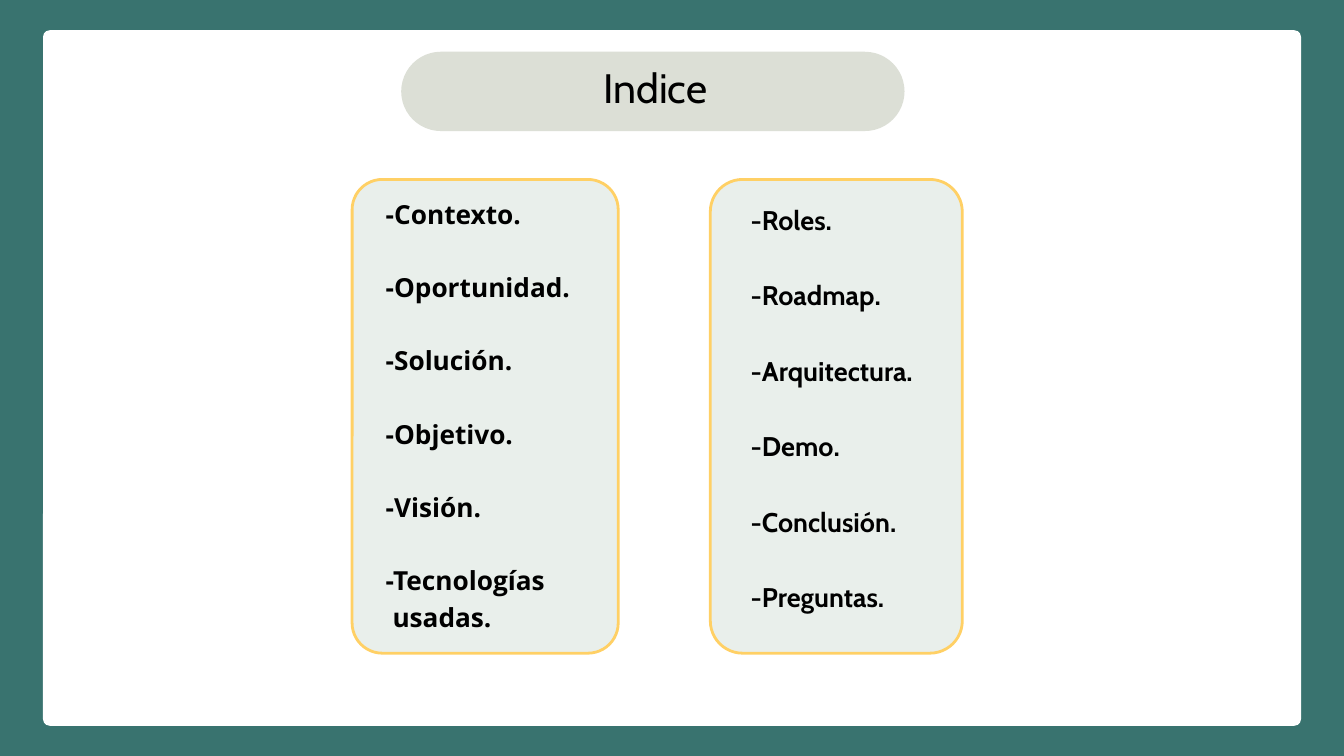
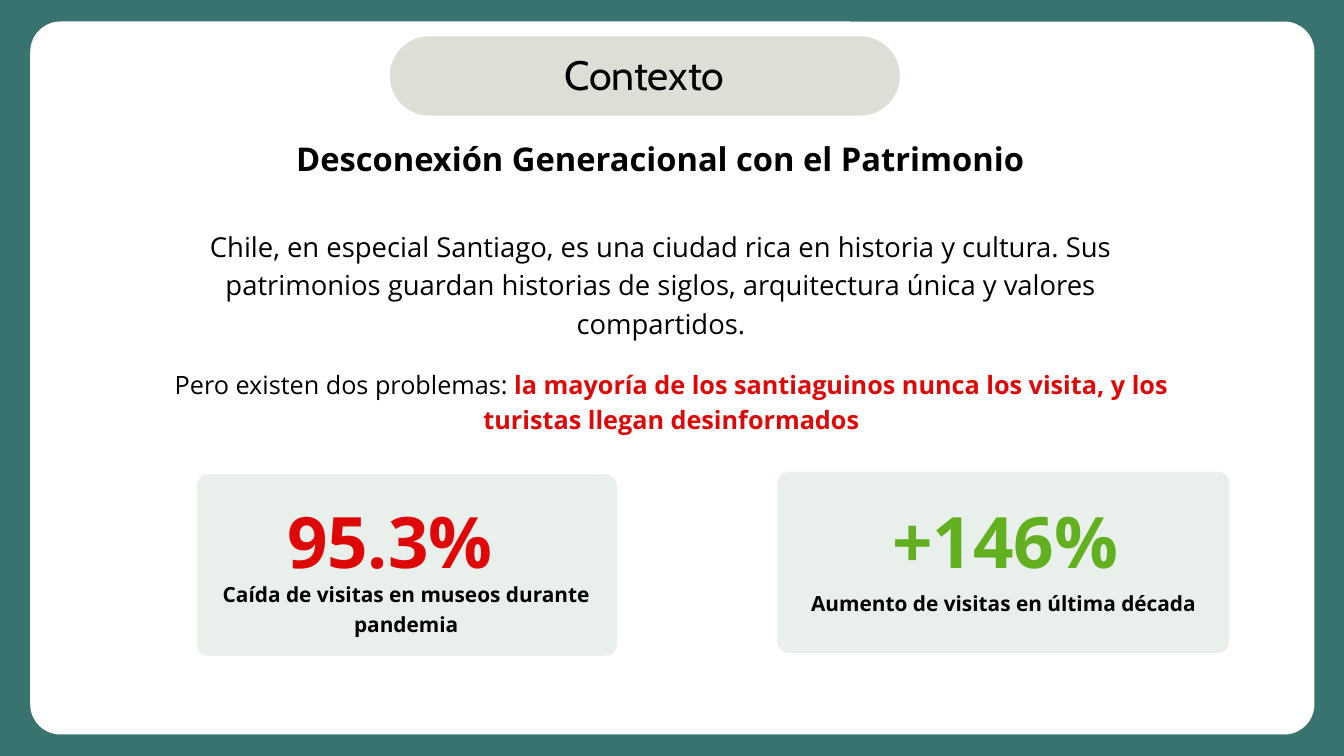
from dataclasses import dataclass

from pptx import Presentation
from pptx.dml.color import RGBColor
from pptx.enum.shapes import MSO_SHAPE
from pptx.enum.text import PP_ALIGN
from pptx.util import Inches, Pt


@dataclass(frozen=True)
class Theme:
    teal: str = "39736F"
    white: str = "FFFFFF"
    sage: str = "DCDFD6"
    mint: str = "E9EFEB"
    yellow: str = "FFD065"
    black: str = "000000"
    red: str = "DE0808"
    green: str = "62B020"
    title_font: str = "Cabin"
    body_font: str = "Open Sans"
    title_size: float = 44
    heading_size: float = 35
    body_size: float = 29.4
    problem_size: float = 27
    figure_size: float = 76
    caption_size: float = 22.3


theme = Theme()


def add_panel(page, frame, fill, radius, border=None):
    """Add a rounded panel; frame and corner radius are in inches."""
    panel = page.shapes.add_shape(
        MSO_SHAPE.ROUNDED_RECTANGLE, *(Inches(length) for length in frame))
    panel.adjustments[0] = radius / min(frame[2:])
    panel.shadow.inherit = False
    panel.fill.solid()
    panel.fill.fore_color.rgb = RGBColor.from_string(fill)
    if border:
        panel.line.color.rgb = RGBColor.from_string(border)
        panel.line.width = Pt(3)
    else:
        panel.line.fill.background()


def add_text(page, frame, paragraphs, *, size, leading, font=theme.body_font,
             color=theme.black, bold=False, align=PP_ALIGN.CENTER, gap=0):
    """Add paragraphs, each a list of (text, color, bold) spans or a string.

    A paragraph that opens with a space continues the one above, without gap.
    """
    box = page.shapes.add_textbox(*(Inches(length) for length in frame))
    text_frame = box.text_frame
    text_frame.word_wrap = True
    text_frame.margin_left = text_frame.margin_right = 0
    text_frame.margin_top = text_frame.margin_bottom = 0
    for index, spans in enumerate(paragraphs):
        if isinstance(spans, str):
            spans = [(spans, color, bold)]
        para = text_frame.paragraphs[0] if index == 0 else text_frame.add_paragraph()
        para.alignment = align
        para.line_spacing = Pt(leading)
        if index and not spans[0][0].startswith(" "):
            para.space_before = Pt(gap)
        for words, span_color, span_bold in spans:
            span = para.add_run()
            span.text = words
            span.font.name = font
            span.font.size = Pt(size)
            span.font.bold = span_bold
            span.font.color.rgb = RGBColor.from_string(span_color)


deck = Presentation()
deck.slide_width, deck.slide_height = Inches(20), Inches(11.25)

# Shared frame: teal background, white sheet, title pill
# (title, sheet frame, sheet radius, pill frame, title frame)
layouts = [
    ("Indice", (0.64, 0.45, 18.72, 10.35), 0.1,
     (5.97, 0.77, 7.49, 1.18), (6.21, 0.81, 7.08, 0.92)),
    ("Contexto", (0.45, 0.32, 19.11, 10.61), 0.45,
     (5.8, 0.54, 7.59, 1.18), (6.05, 0.61, 7.08, 0.92)),
]
pages = []
for title, sheet, sheet_radius, pill, title_frame in layouts:
    page = deck.slides.add_slide(deck.slide_layouts[6])
    page.background.fill.solid()
    page.background.fill.fore_color.rgb = RGBColor.from_string(theme.teal)
    add_panel(page, sheet, theme.white, sheet_radius)
    add_panel(page, pill, theme.sage, pill[3] / 2)
    add_text(page, title_frame, [title], size=theme.title_size, leading=61.6,
             font=theme.title_font)
    pages.append(page)
index_page, context_page = pages

# Index: two columns of topics, one blank line's height between topics
columns = [
    ((5.24, 2.67, 3.96, 7.05), 0.45, (5.74, 2.87, 5.43, 7.54),
     theme.body_font, 28.1, 39.3,
     ["-Contexto.", "-Oportunidad.", "-Solución.", "-Objetivo.", "-Visión.",
      "-Tecnologías", " usadas."]),
    ((10.57, 2.67, 3.75, 7.05), 0.48, (11.17, 2.95, 2.62, 6.1),
     theme.title_font, 28.9, 40.4,
     ["-Roles.", "-Roadmap.", "-Arquitectura.", "-Demo.", "-Conclusión.",
      "-Preguntas."]),
]
for card, radius, list_frame, font, size, leading, topics in columns:
    add_panel(index_page, card, theme.mint, radius, border=theme.yellow)
    add_text(index_page, list_frame, topics, size=size, leading=leading, font=font,
             bold=True, align=PP_ALIGN.LEFT, gap=leading)

# Context: heading and the two statements
add_text(context_page, (3.68, 1.97, 12.3, 0.64),
         ["Desconexión Generacional con el Patrimonio"],
         size=theme.heading_size, leading=49, bold=True)
add_text(context_page, (2.79, 3.34, 14.09, 1.69),
         ["Chile, en especial Santiago, es una ciudad rica en historia y cultura. "
          "Sus patrimonios guardan historias de siglos, arquitectura única y "
          "valores compartidos."],
         size=theme.body_size, leading=41.2)
add_text(context_page, (2.01, 5.42, 15.96, 1.02),
         [[("Pero existen dos problemas: ", theme.black, False),
           ("la mayoría de los santiaguinos nunca los visita, y los turistas "
            "llegan desinformados", theme.red, True)]],
         size=theme.problem_size, leading=37.8)

# Context: key figures with captions
figures = [
    ((2.93, 7.06, 6.25, 2.7), "95.3%", theme.red, (4.27, 7.2, 3.06, 1.42),
     "Caída de visitas en museos durante pandemia", (2.91, 8.6, 6.27, 0.86)),
    ((11.57, 7.02, 6.72, 2.7), "+146%", theme.green, (13.28, 7.2, 3.36, 1.42),
     "Aumento de visitas en última década", (11.8, 8.73, 6.27, 0.42)),
]
for card, figure, color, figure_frame, caption, caption_frame in figures:
    add_panel(context_page, card, theme.mint, 0.17)
    add_text(context_page, figure_frame, [figure], size=theme.figure_size,
             leading=106.4, color=color, bold=True)
    add_text(context_page, caption_frame, [caption], size=theme.caption_size,
             leading=31.3, bold=True)

deck.save("out.pptx")
